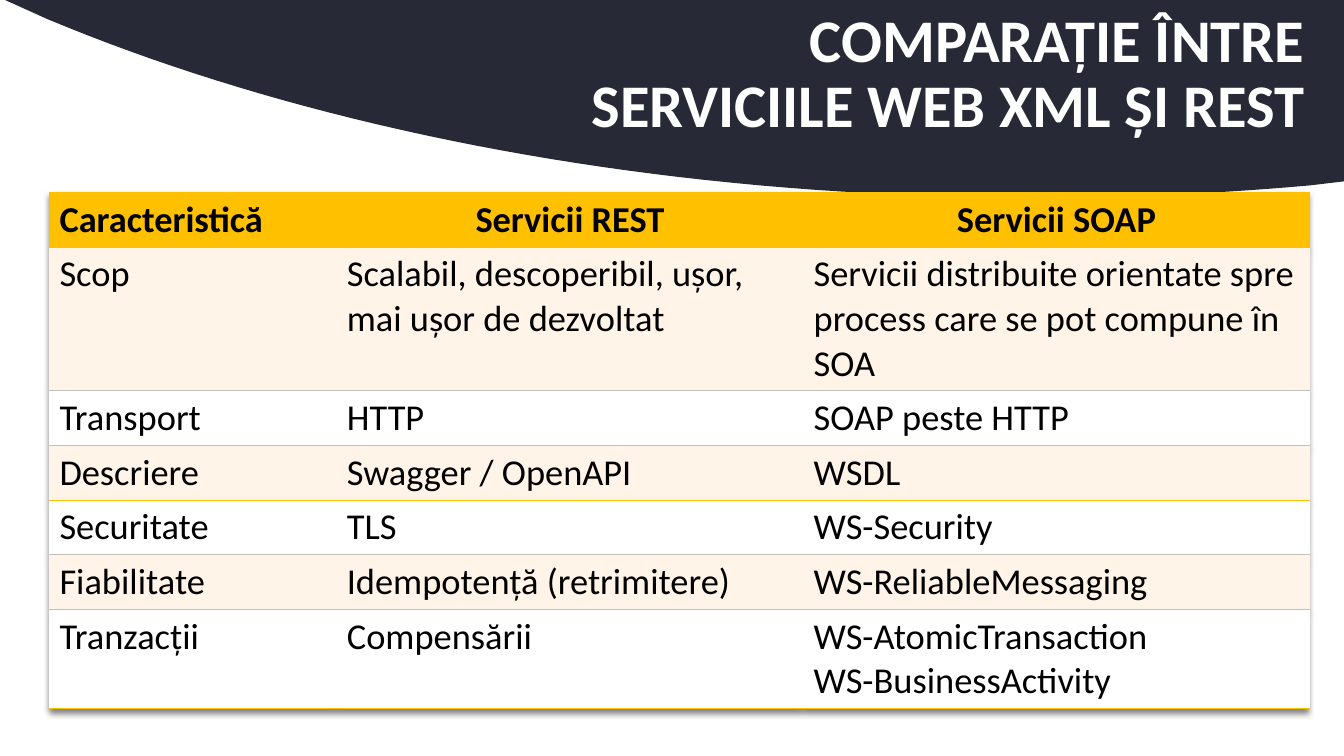
from pptx import Presentation
from pptx.dml.color import RGBColor
from pptx.enum.text import MSO_ANCHOR as Anchor, MSO_AUTO_SIZE as AutoSize, PP_ALIGN as Align
from pptx.oxml import parse_xml
from pptx.oxml.ns import nsdecls
from pptx.util import Inches, Pt

FONT = "Calibri"
NAVY, GOLD, CREAM, WHITE, BLACK, GREY = "272936", "FFC000", "FFF4E7", "FFFFFF", "000000", "C4BFB9"
NO_STYLE = "{2D5ABB26-0587-4C30-8999-92F81FD0307C}"
COLUMN_WIDTHS = (2.85, 4.63, 5.02)
LINE_HEIGHT, CELL_PADDING = 0.44, 0.1
ROWS = [
    # first column, REST, SOAP, lines of text, colour of the rule below
    ("Caracteristică", "Servicii REST", "Servicii SOAP", 1, GOLD),
    ("Scop", "Scalabil, descoperibil, ușor, mai ușor de dezvoltat",
     "Servicii distribuite orientate spre process care se pot compune în SOA", 3, GREY),
    ("Transport", "HTTP", "SOAP peste HTTP", 1, GREY),
    ("Descriere", "Swagger / OpenAPI", "WSDL", 1, GOLD),
    ("Securitate", "TLS", "WS-Security", 1, GREY),
    ("Fiabilitate", "Idempotență (retrimitere)", "WS-ReliableMessaging", 1, GREY),
    ("Tranzacții", "Compensării", "WS-AtomicTransaction\nWS-BusinessActivity", 2, GOLD),
]


def rgb(value):
    return RGBColor.from_string(value)


def style_font(para, size, color, bold):
    font = para.font
    font.name, font.size, font.bold = FONT, Pt(size), bold
    font.color.rgb = rgb(color)


def curve_points(start, control1, control2, end, steps=40):
    """Points along a cubic Bézier curve, without its start."""
    for step in range(1, steps + 1):
        t = step / steps
        weights = ((1 - t) ** 3, 3 * t * (1 - t) ** 2, 3 * t ** 2 * (1 - t), t ** 3)
        yield tuple(
            sum(w * p[axis] for w, p in zip(weights, (start, control1, control2, end)))
            for axis in (0, 1)
        )


def add_header_curve(page):
    points = [(13.33, 0), (13.33, 1.8), (12.99, 1.84)]
    points += curve_points((12.99, 1.84), (12.1, 1.92), (11.19, 1.96), (10.26, 1.96))
    points += curve_points((10.26, 1.96), (6.54, 1.96), (3.13, 1.3), (0.47, 0.19))
    builder = page.shapes.build_freeform(Inches(0.05), 0)
    builder.add_line_segments([(Inches(x), Inches(y)) for x, y in points], close=True)
    curve = builder.convert_to_shape()
    curve.shadow.inherit = False
    curve.fill.solid()
    curve.fill.fore_color.rgb = rgb(NAVY)
    curve.line.fill.background()
    page.shapes.title.element.addprevious(curve.element)


def set_title(page, text):
    title = page.shapes.title
    title.left, title.top = Inches(0.92), Inches(0.02)
    title.width, title.height = Inches(12.42), Inches(1.45)
    frame = title.text_frame
    frame.text = text
    frame.word_wrap, frame.auto_size = True, AutoSize.NONE
    frame.vertical_anchor = Anchor.MIDDLE
    frame.margin_left, frame.margin_right = Inches(0.1), Inches(0.4)
    frame.margin_top = frame.margin_bottom = Inches(0.05)
    para = frame.paragraphs[0]
    para.alignment, para.line_spacing = Align.RIGHT, 0.9
    style_font(para, 43.2, WHITE, True)


def add_rule(cell, side, color):
    cell._tc.get_or_add_tcPr().append(parse_xml(
        f'<a:{side} {nsdecls("a")} w="{Pt(1)}"><a:solidFill><a:srgbClr val="{color}"/>'
        f'</a:solidFill></a:{side}>'))


def fill_cell(cell, text, fill, bold, align, rule_above, rule_below):
    add_rule(cell, "lnT", rule_above)
    add_rule(cell, "lnB", rule_below)
    cell.fill.solid()
    cell.fill.fore_color.rgb = rgb(fill)
    cell.text = text
    for para in cell.text_frame.paragraphs:
        para.alignment = align
        style_font(para, 26, BLACK, bold)


def add_table_shadow(table):
    table._tbl.tblPr.insert(0, parse_xml(
        f'<a:effectLst {nsdecls("a")}><a:outerShdw blurRad="50800" dist="38100" dir="5400000">'
        '<a:srgbClr val="000000"><a:alpha val="50000"/></a:srgbClr></a:outerShdw></a:effectLst>'))


def add_comparison(page):
    heights = [lines * LINE_HEIGHT + CELL_PADDING for *_, lines, _ in ROWS]
    table = page.shapes.add_table(
        len(ROWS), len(COLUMN_WIDTHS), Inches(0.49), Inches(1.91),
        Inches(sum(COLUMN_WIDTHS)), Inches(sum(heights))).table
    table.horz_banding = False
    table._tbl.tblPr[0].text = NO_STYLE
    add_table_shadow(table)
    for column, width in zip(table.columns, COLUMN_WIDTHS):
        column.width = Inches(width)
    rule_above = GOLD
    for index, (*texts, _, rule_below) in enumerate(ROWS):
        table.rows[index].height = Inches(heights[index])
        header = index == 0
        fill = GOLD if header else CREAM if index % 2 else WHITE
        for column, text in enumerate(texts):
            align = Align.CENTER if header and column else Align.LEFT
            fill_cell(table.cell(index, column), text, fill, header, align,
                      rule_above, rule_below)
        rule_above = rule_below


def main():
    deck = Presentation()
    deck.slide_width, deck.slide_height = Inches(13.33), Inches(7.5)
    page = deck.slides.add_slide(deck.slide_layouts[5])
    set_title(page, "COMPARAȚIE ÎNTRE\vSERVICIILE WEB XML ȘI REST")
    add_header_curve(page)
    add_comparison(page)
    deck.save("out.pptx")


if __name__ == "__main__":
    main()
